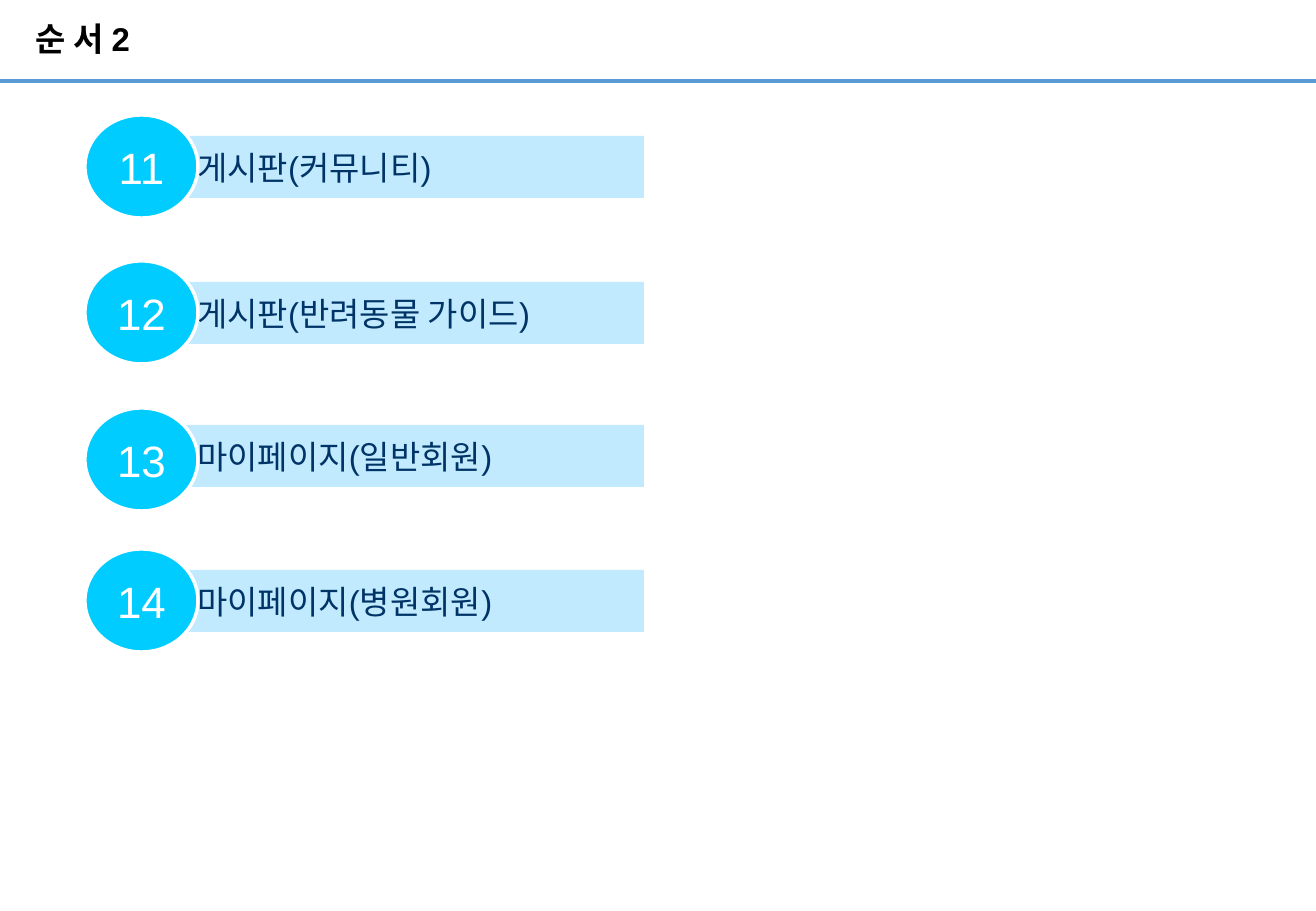
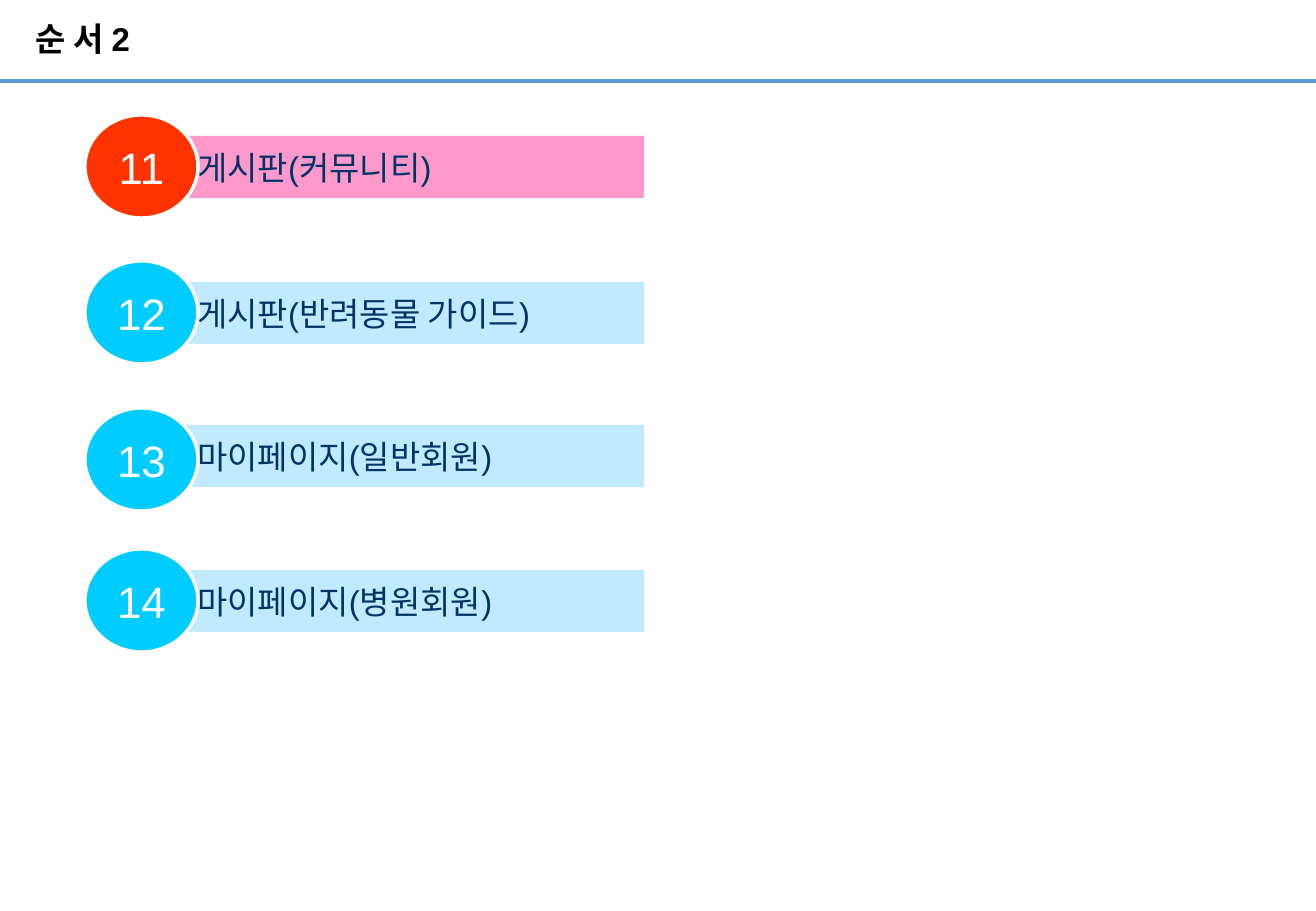
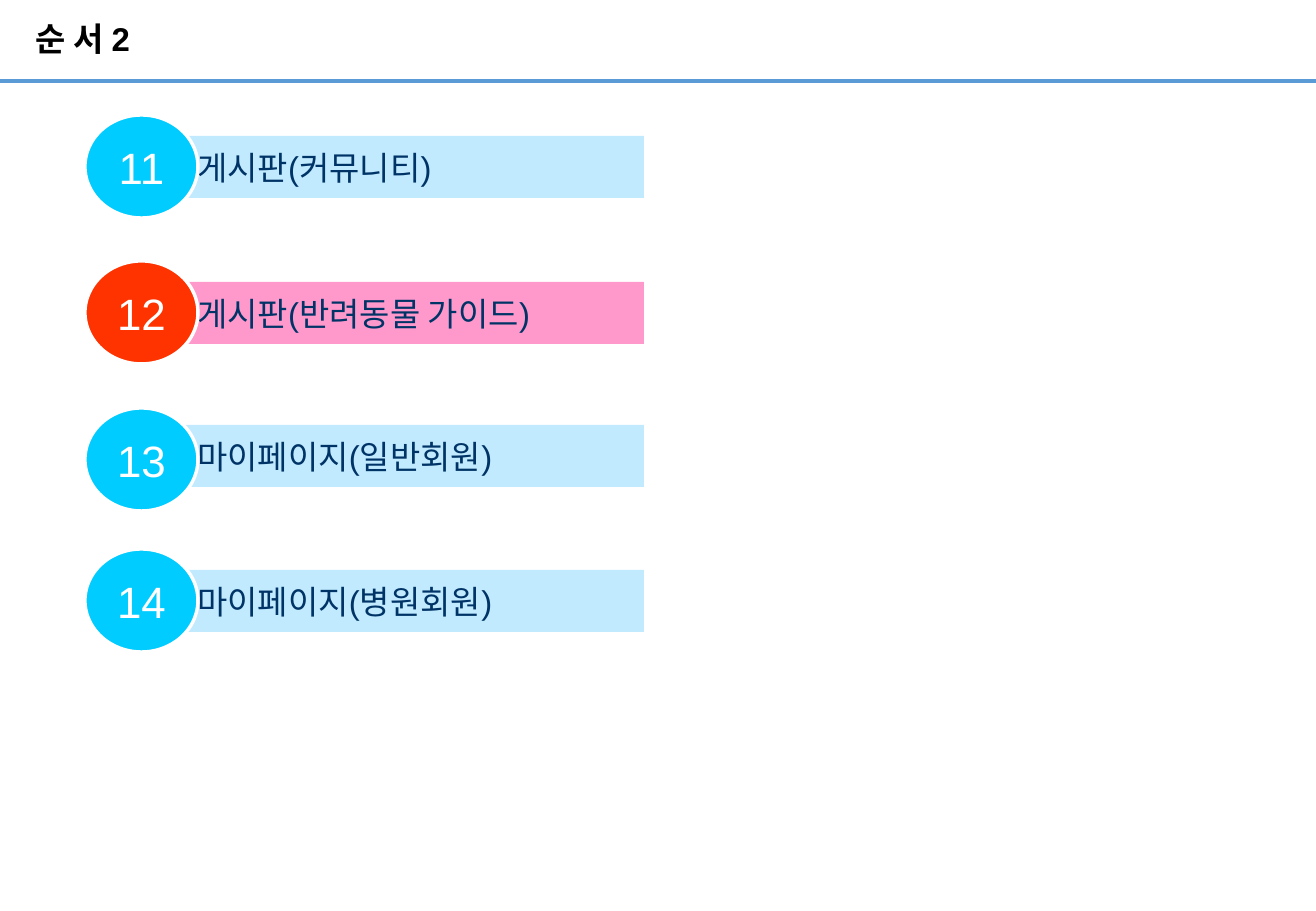
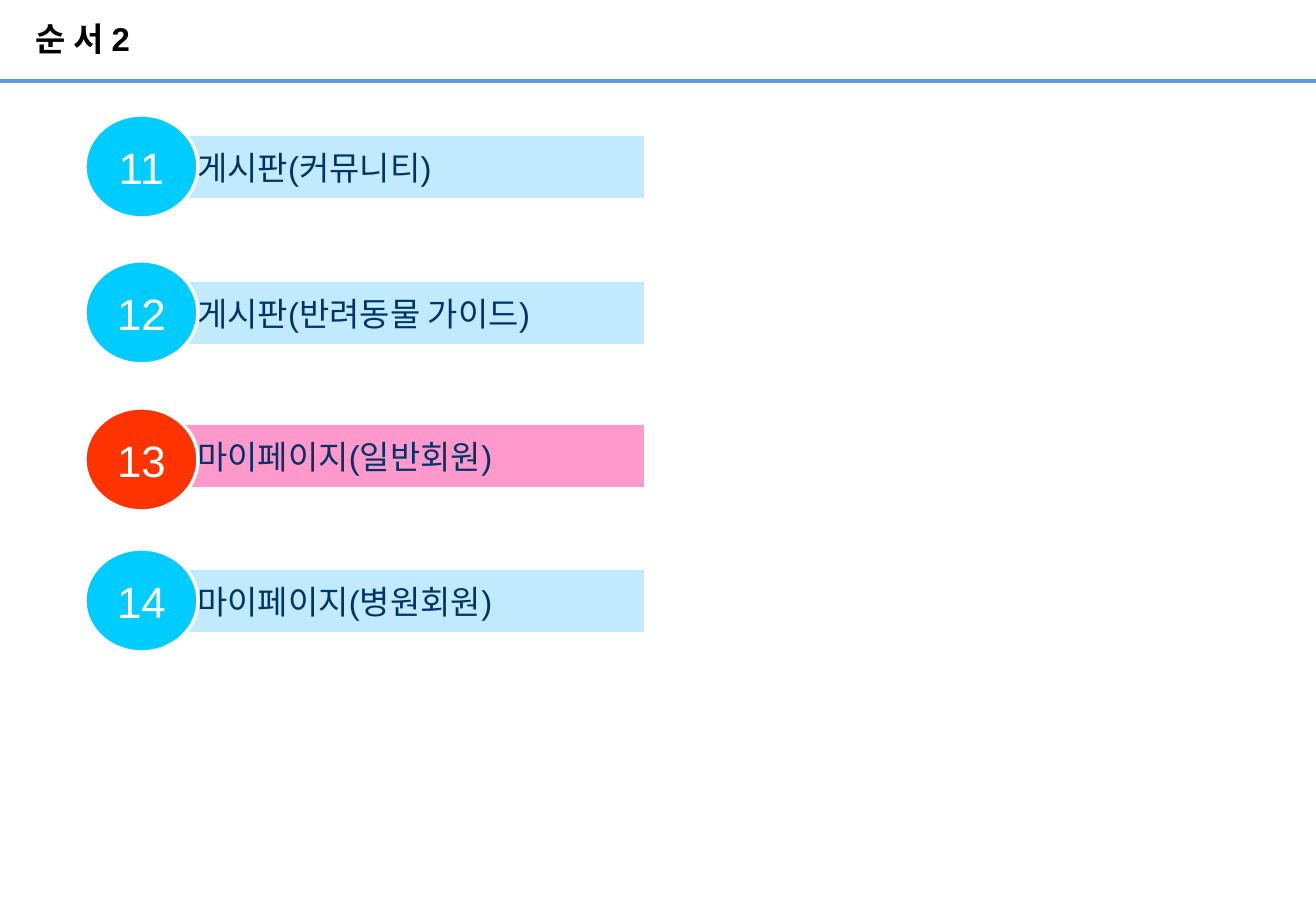
from lxml import etree
from pptx import Presentation
from pptx import util as u
from pptx.dml.color import RGBColor
from pptx.enum import shapes, text
from pptx.oxml.ns import qn

WIDTH, HEIGHT = 1316, 911
FONT = "Arial"
COLORS = {
    "rule": "5B9BD5",
    "title": "000000",
    "label": "003366",
    "white": "FFFFFF",
    "bar": "C1EAFF",
    "disc": "00CCFF",
    "hot_bar": "FF99CC",
    "hot_disc": "FF3300",
}
# number, label, top of bar, top of disc
ITEMS = [
    (11, "게시판(커뮤니티)", 136, 115),
    (12, "게시판(반려동물 가이드)", 282, 261),
    (13, "마이페이지(일반회원)", 425, 408),
    (14, "마이페이지(병원회원)", 570, 549),
]
ACTIVE = [None, 11, 12, 13]


def px(n):
    return u.Emu(round(n * 914400 / 121.5))


def rgb(name):
    return RGBColor.from_string(COLORS[name])


def write(shape, words, size, color, left=12, bold=False,
          align=text.PP_ALIGN.LEFT):
    """Fill a shape with one line of vertically centred text."""
    frame = shape.text_frame
    frame.word_wrap = True
    frame.vertical_anchor = text.MSO_ANCHOR.MIDDLE
    frame.margin_left = px(left)
    para = frame.paragraphs[0]
    para.text = words
    para.alignment = align
    font = para.font
    font.name, font.size, font.bold = FONT, u.Pt(size), bold
    font.color.rgb = rgb(color)
    return para


def add_block(slide, kind, box, fill):
    shape = slide.shapes.add_shape(kind, *map(px, box))
    shape.shadow.inherit = False
    shape.fill.solid()
    shape.fill.fore_color.rgb = rgb(fill)
    shape.line.fill.background()
    return shape


def add_head(slide, words):
    """Draw the title and the rule below it."""
    rule = slide.shapes.add_connector(
        shapes.MSO_CONNECTOR.STRAIGHT, px(0), px(81), px(WIDTH), px(81))
    rule.line.color.rgb = rgb("rule")
    rule.line.width = u.Pt(2.25)
    etree.SubElement(rule._element.spPr, qn("a:effectLst"))

    title = slide.shapes.add_textbox(px(36), px(0), px(861), px(82))
    frame = title.text_frame
    frame.margin_top = frame.margin_right = frame.margin_bottom = 0
    write(title, words, 19.5, "title", left=0, bold=True).line_spacing = 0.9


def add_item(slide, number, label, bar_top, disc_top, hot):
    tone = "hot_" if hot else ""
    bar = add_block(slide, shapes.MSO_SHAPE.RECTANGLE,
                    (130, bar_top, 514, 62), tone + "bar")
    write(bar, label, 19.5, "label", left=67)

    disc = add_block(slide, shapes.MSO_SHAPE.OVAL,
                     (85, disc_top, 113, 103), tone + "disc")
    disc.line.color.rgb = rgb("white")
    disc.line.width = u.Pt(2)
    write(disc, str(number), 26, "white", align=text.PP_ALIGN.CENTER)


def main():
    deck = Presentation()
    deck.slide_width, deck.slide_height = px(WIDTH), px(HEIGHT)
    for active in ACTIVE:
        slide = deck.slides.add_slide(deck.slide_layouts[6])
        add_head(slide, "순 서 2")
        for item in ITEMS:
            add_item(slide, *item, hot=item[0] == active)
    deck.save("out.pptx")


if __name__ == "__main__":
    main()
